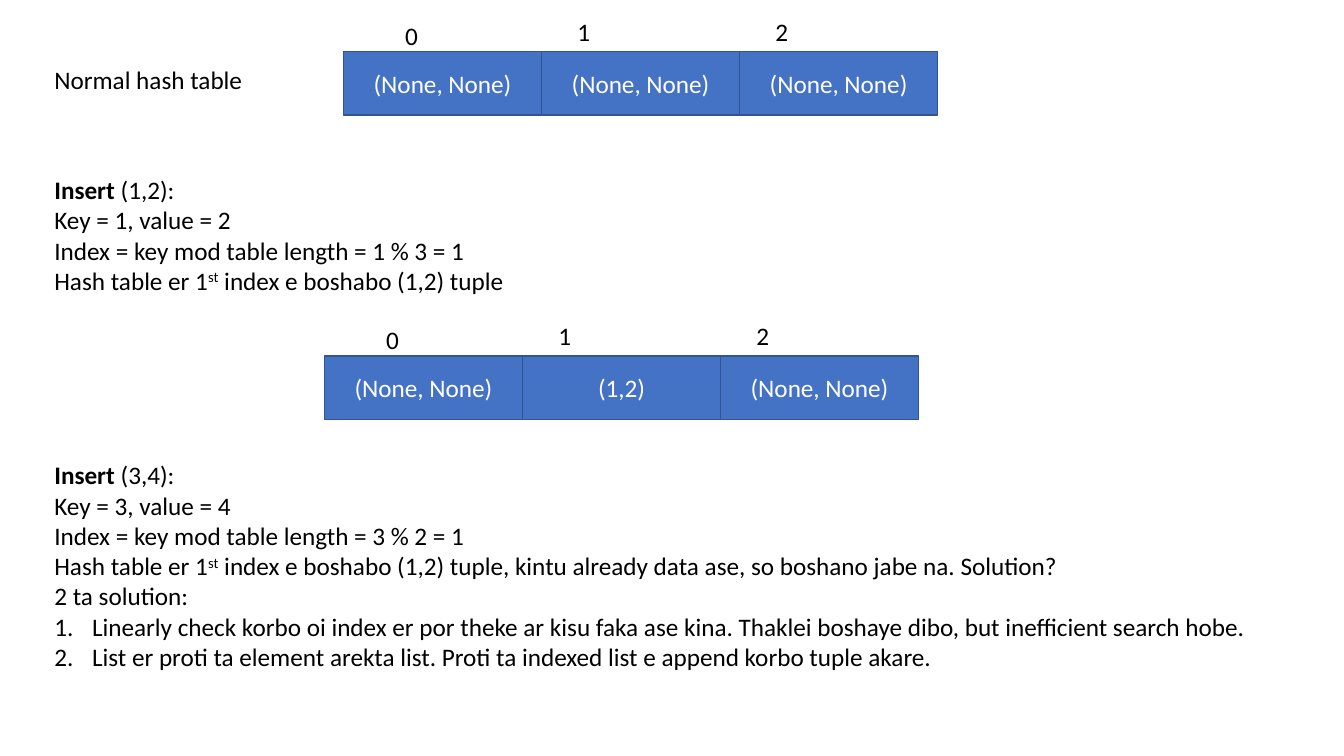
from dataclasses import dataclass

from lxml import etree
from pptx import Presentation
from pptx.dml.color import RGBColor
from pptx.enum import shapes, text
from pptx.oxml.ns import qn
from pptx.util import Cm, Pt

COLORS = {"cell": "4472C4", "border": "325491", "light": "FFFFFF", "dark": "000000"}
FONT = {"name": "Calibri", "size": Pt(18)}
CELL_W, CELL_H = 4.99, 1.6
LABEL_W, LABEL_H = 2.67, 1.03
LABEL_OFFSETS = [(1.3, -0.91), (0.65, -1.02), (0.65, -1.02)]
MARGIN = 1.12
NUMBER_INDENT = Cm(0.95)


@dataclass
class Span:
    text: str
    bold: bool = False
    superscript: bool = False


@dataclass
class Line:
    spans: list[Span]
    numbered: bool = False


@dataclass
class HashTable:
    left: float
    top: float
    values: list[str]


@dataclass
class Note:
    left: float
    top: float
    width: float
    height: float
    lines: list[Line]


def plain(words: str, numbered: bool = False) -> Line:
    return Line([Span(words)], numbered)


def insert_lines(key: int, value: int, divisor: int, outcome: str) -> list[Line]:
    """Lines that walk through one insertion into the hash table."""
    return [
        Line([Span("Insert", bold=True), Span(f" ({key},{value}):")]),
        plain(f"Key = {key}, value = {value}"),
        plain(f"Index = key mod table length = {key} % {divisor} = 1"),
        Line([Span("Hash table er 1"), Span("st", superscript=True),
              Span(f" index e boshabo (1,2) tuple{outcome}")]),
    ]


TABLES = [
    HashTable(8.66, 1.3, ["(None, None)"] * 3),
    HashTable(8.18, 8.97, ["(None, None)", "(1,2)", "(None, None)"]),
]
NOTES = [
    Note(MARGIN, 1.5, 6.7, LABEL_H, [plain("Normal hash table")]),
    Note(MARGIN, 4.27, 17.04, 3.33, insert_lines(1, 2, 3, "")),
    Note(MARGIN, 11.46, 31.85, 5.64, [
        *insert_lines(3, 4, 2, ", kintu already data ase, so boshano jabe na. Solution?"),
        plain("2 ta solution:"),
        plain("Linearly check korbo oi index er por theke ar kisu faka ase kina. "
              "Thaklei boshaye dibo, but inefficient search hobe.", numbered=True),
        plain("List er proti ta element arekta list. "
              "Proti ta indexed list e append korbo tuple akare.", numbered=True),
    ]),
]


def rgb(name: str) -> RGBColor:
    return RGBColor.from_string(COLORS[name])


def add_span(p, span: Span, color: str) -> None:
    r = p.add_run()
    r.text = span.text
    for key, value in {**FONT, "bold": span.bold}.items():
        setattr(r.font, key, value)
    r.font.color.rgb = rgb(color)
    if span.superscript:
        r._r.get_or_add_rPr().set("baseline", "30000")


def number_paragraph(p) -> None:
    pPr = p._p.get_or_add_pPr()
    pPr.set("marL", str(NUMBER_INDENT))
    pPr.set("indent", str(-NUMBER_INDENT))
    etree.SubElement(pPr, qn("a:buFont"), typeface="+mj-lt")
    etree.SubElement(pPr, qn("a:buAutoNum"), type="arabicPeriod")


def add_note(s, note: Note) -> None:
    sp = s.shapes.add_textbox(Cm(note.left), Cm(note.top), Cm(note.width), Cm(note.height))
    tf = sp.text_frame
    tf.word_wrap = True
    tf.auto_size = text.MSO_AUTO_SIZE.SHAPE_TO_FIT_TEXT
    for i, line in enumerate(note.lines):
        p = tf.add_paragraph() if i else tf.paragraphs[0]
        if line.numbered:
            number_paragraph(p)
        for span in line.spans:
            add_span(p, span, "dark")


def add_cell(s, left: float, top: float, value: str) -> None:
    sp = s.shapes.add_shape(shapes.MSO_SHAPE.RECTANGLE,
                            Cm(left), Cm(top), Cm(CELL_W), Cm(CELL_H))
    sp.shadow.inherit = False
    sp.fill.solid()
    sp.fill.fore_color.rgb = rgb("cell")
    sp.line.color.rgb = rgb("border")
    sp.line.width = Pt(1)
    tf = sp.text_frame
    tf.word_wrap = True
    tf.vertical_anchor = text.MSO_ANCHOR.MIDDLE
    p = tf.paragraphs[0]
    p.alignment = text.PP_ALIGN.CENTER
    add_span(p, Span(value), "light")


def add_hash_table(s, table: HashTable) -> None:
    """Row of cells with the index of each above it."""
    for i, (value, (dx, dy)) in enumerate(zip(table.values, LABEL_OFFSETS)):
        left = table.left + i * CELL_W
        add_cell(s, left, table.top, value)
        add_note(s, Note(left + dx, table.top + dy, LABEL_W, LABEL_H, [plain(str(i))]))


def main() -> None:
    prs = Presentation()
    prs.slide_width, prs.slide_height = Cm(33.87), Cm(19.05)
    s = prs.slides.add_slide(prs.slide_layouts[6])
    for table in TABLES:
        add_hash_table(s, table)
    for note in NOTES:
        add_note(s, note)
    prs.save("out.pptx")


if __name__ == "__main__":
    main()
